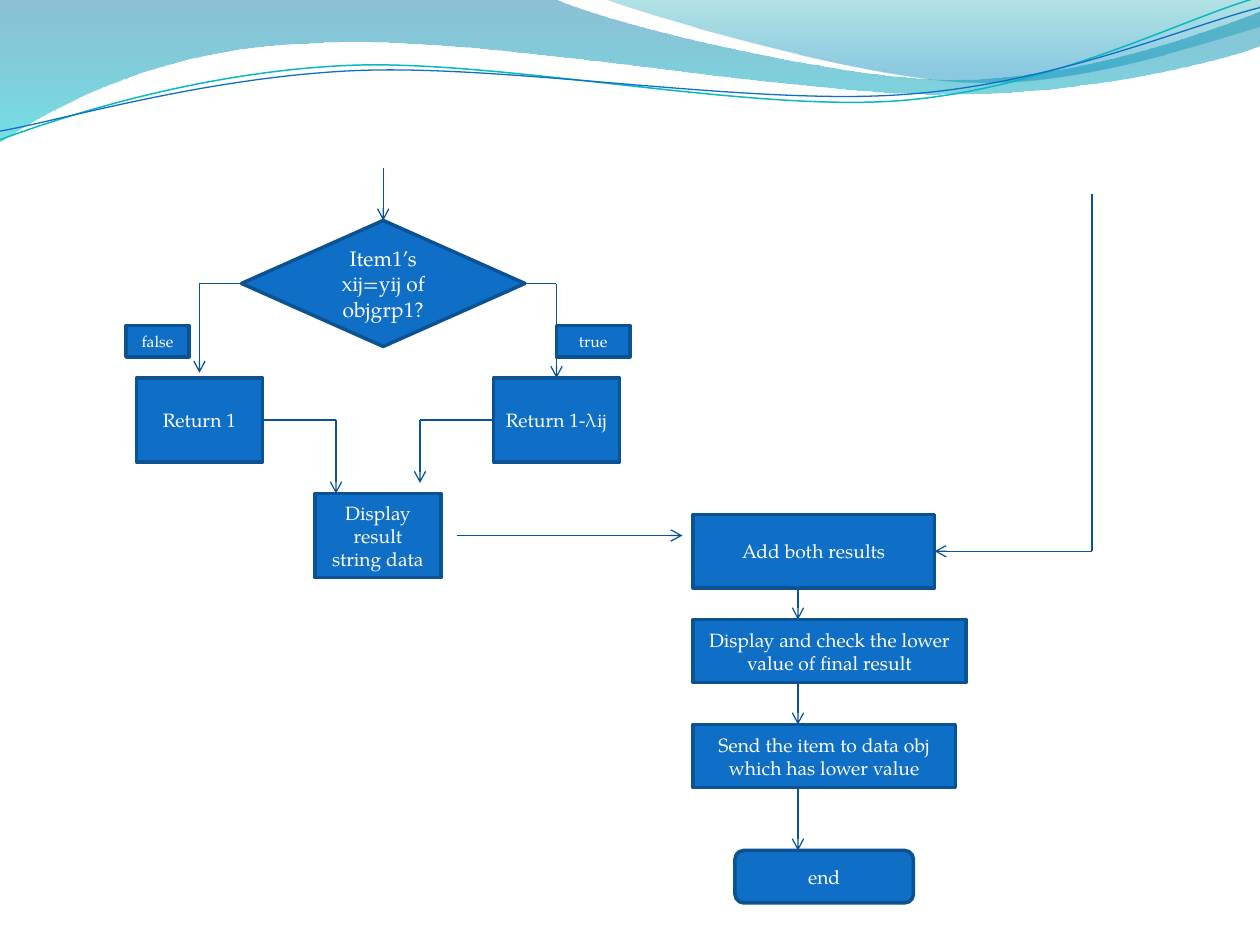
"""Build a flowchart slide with a wave banner."""
from itertools import chain, pairwise

from lxml.etree import SubElement
from pptx import Presentation
from pptx.dml.color import RGBColor
from pptx.enum.shapes import MSO_CONNECTOR, MSO_SHAPE as Kind
from pptx.enum.text import MSO_ANCHOR, PP_ALIGN
from pptx.oxml.ns import qn
from pptx.util import Pt

FONT = "TeX Gyre Pagella"
BLUE, BORDER, ARROW, WHITE = "0F6FC6", "0B5292", "095295", "FFFFFF"

BANDS = [
    ([[(0, 0)], [(316.8, -0.7)],
      [(342.7, 12.2), (478.1, 45.4), (545.8, 45.4)],
      [(614.2, 45.4), (689.8, 18.7), (720, 6.5)], [(720.7, 25.9)],
      [(707.8, 31.7), (626.4, 54.7), (537.1, 54)],
      [(447.8, 54), (275, 20.2), (185, 24.5)],
      [(92.9, 25.9), (33.1, 59.8), (-0.7, 81.4)], [(0, 0)]],
     [(0, "0074A1", 45), (1, "00C6CF", 55)]),
    ([[(344.9, -0.7)],
      [(366.5, 7.9), (491, 44.6), (553.7, 46.8)],
      [(616.3, 49.7), (691.9, 23), (720, 15.1)], [(720, 0)], [(344.9, -0.7)]],
     [(0, "00A1A9", 30), (0.8, "008BBF", 45)]),
]
STRANDS = [
    ([[(0, 79.9)],
      [(34.6, 67), (113.8, 41), (199.4, 37.4)],
      [(284.4, 33.8), (427, 64.1), (513.4, 57.6)],
      [(599.8, 51.1), (675.4, 10.8), (718.6, -1.4)]], "0AB8BF", 0.85),
    ([[(0, 74.9)],
      [(33.8, 69.1), (118.1, 43.9), (203.8, 40.3)],
      [(290.2, 36.7), (429.8, 60.5), (516.2, 54)],
      [(601.9, 48.2), (677.5, 15.1), (720, 4.3)]], BLUE, 0.75),
]
STEPS = [
    ("Item1’s xij=yij of objgrp1?", Kind.FLOWCHART_DECISION, (138, 126, 162, 72), 12),
    ("Return 1", Kind.FLOWCHART_PROCESS, (78, 216, 72, 48), 11),
    ("Return 1-λij", Kind.FLOWCHART_PROCESS, (282, 216, 72, 48), 11),
    ("Display result string data", Kind.FLOWCHART_PROCESS, (180, 282, 72, 48), 11),
    ("Display and check the lower value of final result", Kind.RECTANGLE,
     (396, 354, 156, 36), 11),
    ("Send the item to data obj which has lower value", Kind.RECTANGLE,
     (396, 414, 150, 36), 11),
    ("Add both results", Kind.RECTANGLE, (396, 294, 138, 42), 11),
    ("end", Kind.FLOWCHART_ALTERNATE_PROCESS, (420, 486, 102, 30), 11),
]
ANSWERS = [
    ("true", Kind.RECTANGLE, (318, 186, 42, 18), 9),
    ("false", Kind.RECTANGLE, (72, 186, 36, 18), 9),
]
ROUTES = [
    [(219, 96), (219, 126)],
    [(624, 111), (624, 315), (534, 315)],
    [(138, 162), (114, 162), (114, 213)],
    [(300, 162), (318, 162), (318, 216)],
    [(150, 240), (192, 240), (192, 282)],
    [(282, 240), (240, 240), (240, 276)],
    [(261, 306), (390, 306)],
    [(456, 336), (456, 354)],
    [(456, 390), (456, 414)],
    [(456, 450), (456, 486)],
]


def color(hex_code):
    return RGBColor.from_string(hex_code)


def outline(shape, hex_code, width):
    shape.line.color.rgb = color(hex_code)
    shape.line.width = Pt(width)


def add_wave(segments, close):
    start, *rest = [(Pt(x), Pt(y)) for x, y in chain(*segments)]
    builder = slide.shapes.build_freeform(*start)
    builder.add_line_segments(rest, close=close)
    wave = builder.convert_to_shape()
    wave.shadow.inherit = False
    legs = iter(list(wave._element.spPr.iter(qn("a:lnTo"))))
    for segment in segments[1:]:
        first, *others = [next(legs) for _ in segment]
        if others:
            first.tag = qn("a:cubicBezTo")
            for leg in others:
                first.append(leg[0])
                leg.getparent().remove(leg)
    return wave


def add_band(segments, stops):
    band = add_wave(segments, True)
    band.line.fill.background()
    band.fill.gradient()
    band.fill.gradient_angle = 270
    for stop, (position, hex_code, _) in zip(band.fill.gradient_stops, stops):
        stop.position = position
        stop.color.rgb = color(hex_code)
    for tint, (_, _, opacity) in zip(band._element.spPr.iter(qn("a:srgbClr")), stops):
        SubElement(tint, qn("a:alpha"), val=str(opacity * 1000))


def add_strand(segments, hex_code, width):
    strand = add_wave(segments, False)
    strand.fill.background()
    outline(strand, hex_code, width)


def add_step(label, kind, box, size):
    step = slide.shapes.add_shape(kind, *map(Pt, box))
    step.shadow.inherit = False
    step.fill.solid()
    step.fill.fore_color.rgb = color(BLUE)
    outline(step, BORDER, 2)
    frame = step.text_frame
    frame.word_wrap = True
    frame.vertical_anchor = MSO_ANCHOR.MIDDLE
    paragraph = frame.paragraphs[0]
    paragraph.text = label
    paragraph.alignment = PP_ALIGN.CENTER
    paragraph.font.name = FONT
    paragraph.font.size = Pt(size)
    paragraph.font.color.rgb = color(WHITE)


def add_route(corners):
    for start, end in pairwise(corners):
        leg = slide.shapes.add_connector(MSO_CONNECTOR.STRAIGHT, *map(Pt, start + end))
        outline(leg, ARROW, 0.75)
        if end == corners[-1]:
            SubElement(leg.line._get_or_add_ln(), qn("a:tailEnd"), type="arrow")
        SubElement(leg._element.spPr, qn("a:effectLst"))


deck = Presentation()
deck.slide_width, deck.slide_height = Pt(720), Pt(540)
slide = deck.slides.add_slide(deck.slide_layouts[6])

for band in BANDS:
    add_band(*band)
for strand in STRANDS:
    add_strand(*strand)
for step in STEPS:
    add_step(*step)
for route in ROUTES:
    add_route(route)
for answer in ANSWERS:
    add_step(*answer)

deck.save("out.pptx")
